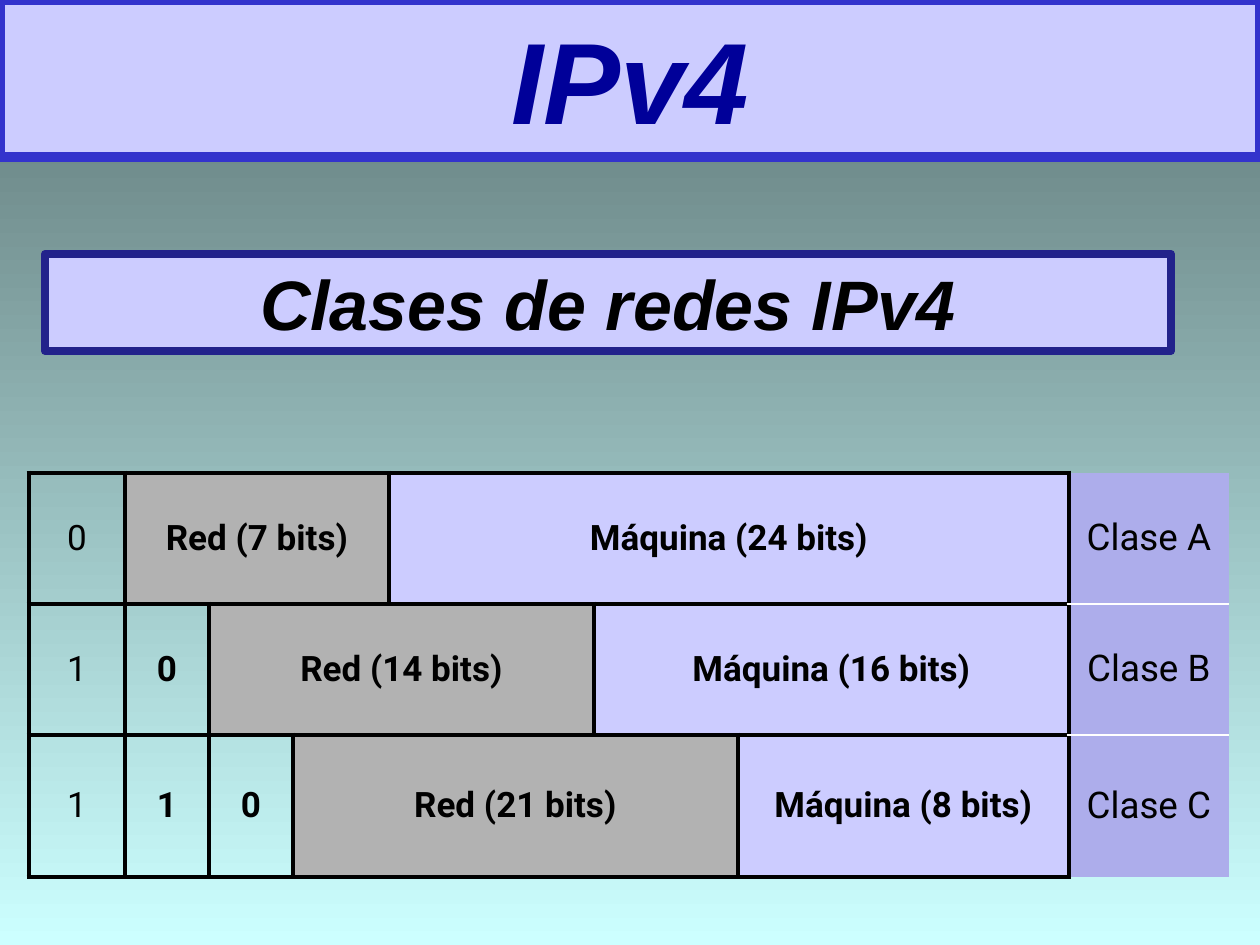
from itertools import accumulate
from lxml.etree import SubElement
from pptx import Presentation
from pptx.dml.color import RGBColor
from pptx.enum.shapes import MSO_SHAPE as Shape
from pptx.enum.text import MSO_ANCHOR as Anchor, MSO_AUTO_SIZE as AutoSize, PP_ALIGN as Align
from pptx.oxml.ns import qn
from pptx.util import Pt

PX = 914400 // 126
LAVENDER, GREY, VIOLET = "CCCCFF", "B2B2B2", "ADADEB"
BLACK, WHITE = "000000", "FFFFFF"

COLUMNS = [96, 84, 84, 96, 205, 144, 331, 160]
ROWS = [131, 131, 142]
CLASSES = [
    ("Clase A", "0", ("Red (7 bits)", 3), ("Máquina (24 bits)", 3)),
    ("Clase B", "10", ("Red (14 bits)", 3), ("Máquina (16 bits)", 2)),
    ("Clase C", "110", ("Red (21 bits)", 3), ("Máquina (8 bits)", 1)),
]


def color(value):
    return RGBColor.from_string(value)


def px(*lengths):
    return [length * PX for length in lengths]


def write(frame, text, size=20, font="Roboto", ink=BLACK, bold=True, italic=False):
    frame.word_wrap = True
    paragraph = frame.paragraphs[0]
    paragraph.alignment = Align.CENTER
    run = paragraph.add_run()
    run.text = text
    run.font.size, run.font.name = Pt(size), font
    run.font.bold, run.font.italic = bold, italic
    run.font.color.rgb = color(ink)


def decorate(banner, edge, width):
    banner.fill.solid()
    banner.fill.fore_color.rgb = color(LAVENDER)
    banner.line.color.rgb = color(edge)
    banner.line.width = Pt(width)
    banner.text_frame.auto_size = AutoSize.NONE
    banner.text_frame.vertical_anchor = Anchor.MIDDLE


def set_borders(cell, **sides):
    properties = cell._tc.get_or_add_tcPr()
    for side in "LRTB":
        if side not in sides:
            continue
        ink, width = sides[side] or (None, 0)
        line = SubElement(properties, qn(f"a:ln{side}"), w=str(Pt(width)))
        if ink:
            fill = SubElement(line, qn("a:solidFill"))
            SubElement(fill, qn("a:srgbClr"), val=ink)
        else:
            SubElement(line, qn("a:noFill"))


def put_field(table, row, column, span, text, fill, borders, **style):
    last = column + span - 1
    for position in range(column, last + 1):
        hidden = ("L" if position > column else "") + ("R" if position < last else "")
        edges = {side: edge for side, edge in borders.items() if side not in hidden}
        set_borders(table.cell(row, position), **edges)
    field = table.cell(row, column)
    if span > 1:
        field.merge(table.cell(row, last))
    if fill:
        field.fill.solid()
        field.fill.fore_color.rgb = color(fill)
    else:
        field.fill.background()
    field.vertical_anchor = Anchor.MIDDLE
    write(field.text_frame, text, **style)


def add_class_table(slide):
    frame = slide.shapes.add_table(len(ROWS), len(COLUMNS),
                                   *px(29, 473, sum(COLUMNS), sum(ROWS)))
    table = frame.table
    table.first_row = table.horz_banding = False
    for column, width in zip(table.columns, COLUMNS):
        column.width = width * PX
    for row, height in zip(table.rows, ROWS):
        row.height = height * PX

    thick, thin = (BLACK, 3), (WHITE, 1)
    box = dict.fromkeys("LRTB", thick)
    for row, (name, prefix, network, host) in enumerate(CLASSES):
        fields = [(bit, 1, None) for bit in prefix] + [(*network, GREY), (*host, LAVENDER)]
        starts = accumulate((span for _, span, _ in fields), initial=0)
        for column, (text, span, fill) in zip(starts, fields):
            put_field(table, row, column, span, text, fill, box, bold=column > 0)
        label_edges = {"L": thick, "R": None,
                       "T": thin if row > 0 else None,
                       "B": thin if row < len(CLASSES) - 1 else None}
        put_field(table, row, len(COLUMNS) - 1, 1, name, VIOLET, label_edges,
                  size=21, bold=False)


def main():
    deck = Presentation()
    deck.slide_width, deck.slide_height = px(1260, 945)
    slide = deck.slides.add_slide(deck.slide_layouts[5])

    backdrop = slide.background.fill
    backdrop.gradient()
    backdrop.gradient_angle = 270
    for stop, (position, shade) in zip(backdrop.gradient_stops, [(0, "5E7676"), (1, "CCFFFF")]):
        stop.position = position
        stop.color.rgb = color(shade)

    title = slide.shapes.title
    title.left, title.top, title.width, title.height = px(0, 0, 1260, 157)
    decorate(title, "3333CC", 6)
    write(title.text_frame, "IPv4", size=66, font="Arial", ink="000099", italic=True)

    add_class_table(slide)

    heading = slide.shapes.add_shape(Shape.RECTANGLE, *px(45, 254, 1126, 97))
    heading.shadow.inherit = False
    decorate(heading, "22228B", 4.5)
    write(heading.text_frame, "Clases de redes IPv4", size=40, font="Arial", italic=True)

    deck.save("out.pptx")


if __name__ == "__main__":
    main()
